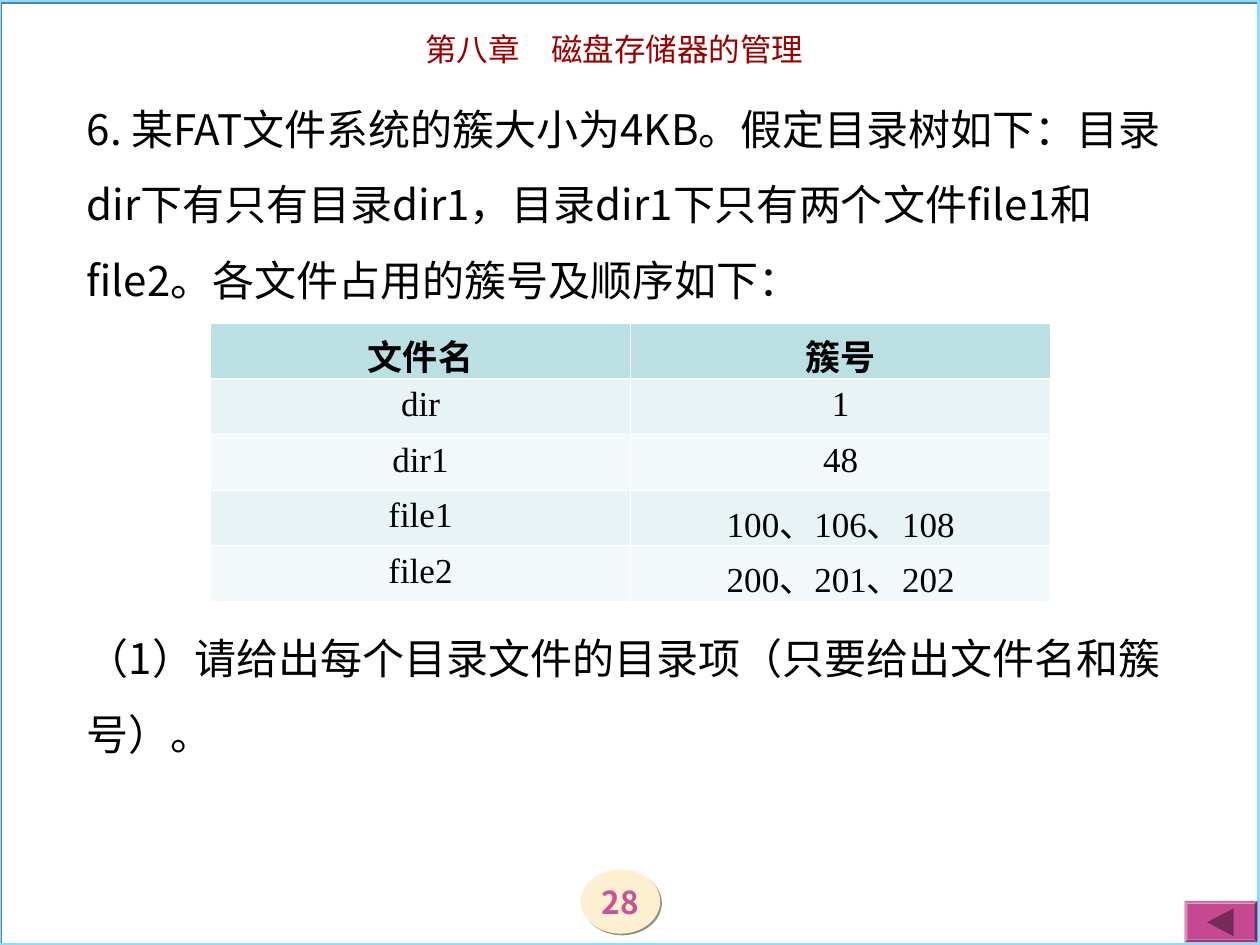
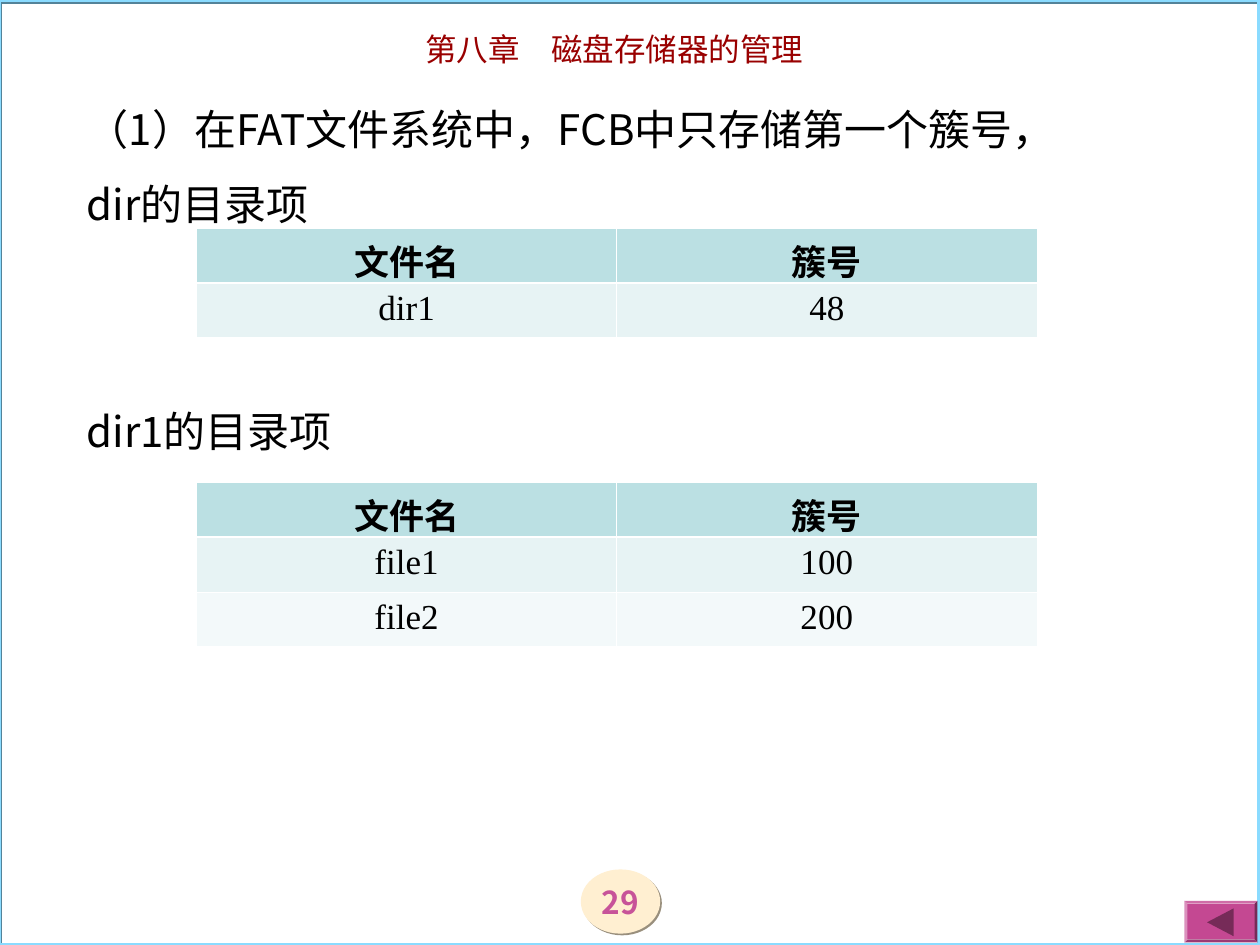
from lxml import etree
from pptx import Presentation
from pptx import util as u
from pptx.dml import color
from pptx.enum import shapes, text
from pptx.oxml import ns

Inches, Pt = u.Inches, u.Pt

# Shared style
SANS, HEADER_FONT, SERIF = "Noto Sans CJK SC", "Noto Sans CJK JP", "Times New Roman"
BLACK, WHITE, DARK_RED = "000000", "FFFFFF", "990000"
FRAME, FRAME_SHADOW = "8ADBFF", "538399"
BADGE, BADGE_SHADOW, BADGE_TEXT = "FFEFD1", "998F7D", "C75399"
BUTTON, BUTTON_ARROW = "C44892", "762B58"
HEAD_ROW, BANDS = "BBE0E3", ("E7F3F4", "F3F9FA")
LINE_PITCH = 43.2
THIN, THICK = 0.45, 1.47
CHAPTER = "第八章　磁盘存储器的管理"
COLUMNS = ("文件名", "簇号")


def rgb(value):
    return color.RGBColor.from_string(value)


def add_xml(parent, tag, **attributes):
    return etree.SubElement(parent, ns.qn(tag), attributes)


def style_paragraph(para, size, font, tint, bold=False, align=None):
    para.alignment = align
    para.font.size = Pt(size)
    para.font.bold = bold
    para.font.color.rgb = rgb(tint)
    para.font.name = font
    east_asian = SANS if font == SERIF else font
    add_xml(para.font._element, "a:ea", typeface=east_asian)


def add_hard_shadow(shape, tint):
    effects = add_xml(shape._element.spPr, "a:effectLst")
    shadow = add_xml(effects, "a:outerShdw", blurRad="0", dist=str(Pt(1.4)),
                     dir="2700000", algn="ctr", rotWithShape="0")
    add_xml(shadow, "a:srgbClr", val=tint)


def add_plain_shape(page, kind, left, top, width, height, fill):
    shape = page.shapes.add_shape(kind, Inches(left), Inches(top),
                                  Inches(width), Inches(height))
    shape.fill.solid()
    shape.fill.fore_color.rgb = rgb(fill)
    shape.line.fill.background()
    return shape


def add_text_box(page, left, top, width, height):
    box = page.shapes.add_textbox(Inches(left), Inches(top),
                                  Inches(width), Inches(height))
    box.text_frame.word_wrap = True
    return box.text_frame


def add_page_number(page, number):
    badge = add_plain_shape(page, shapes.MSO_SHAPE.OVAL, 4.61, 6.9, 0.63, 0.51, BADGE)
    add_hard_shadow(badge, BADGE_SHADOW)
    frame = badge.text_frame
    frame.margin_left = frame.margin_right = frame.margin_top = frame.margin_bottom = 0
    frame.vertical_anchor = text.MSO_ANCHOR.MIDDLE
    frame.text = str(number)
    style_paragraph(frame.paragraphs[0], 18, SANS, BADGE_TEXT, True, text.PP_ALIGN.CENTER)


def add_frame(page):
    border = add_plain_shape(page, shapes.MSO_SHAPE.RECTANGLE, -0.01, 0, 10, 7.5, WHITE)
    border.fill.background()
    border.line.color.rgb = rgb(FRAME)
    border.line.width = Pt(2.25)
    add_hard_shadow(border, FRAME_SHADOW)


def add_chapter_header(page):
    frame = add_text_box(page, 2.08, 0.19, 5.59, 0.46)
    frame.text = CHAPTER
    style_paragraph(frame.paragraphs[0], 18, HEADER_FONT, DARK_RED,
                    align=text.PP_ALIGN.CENTER)


def add_back_button(page):
    button = add_plain_shape(page, shapes.MSO_SHAPE.BEVEL, 9.4, 7.15, 0.58, 0.33, BUTTON)
    button.adjustments[0] = 0.07
    button.shadow.inherit = False
    builder = page.shapes.build_freeform(Inches(9.58), Inches(7.32))
    builder.add_line_segments([(Inches(9.79), Inches(7.21)),
                               (Inches(9.79), Inches(7.43))])
    arrow = builder.convert_to_shape()
    arrow.fill.solid()
    arrow.fill.fore_color.rgb = rgb(BUTTON_ARROW)
    arrow.line.fill.background()
    arrow.shadow.inherit = False


def add_body(page, paragraphs):
    """Each paragraph is (text, number of free lines above it)."""
    frame = add_text_box(page, 0.59, 0.57, 8.98, 6.58)
    for index, (words, free_lines) in enumerate(paragraphs):
        para = frame.add_paragraph() if index else frame.paragraphs[0]
        para.text = words
        para.line_spacing = Pt(LINE_PITCH)
        if free_lines:
            para.space_before = Pt(free_lines * LINE_PITCH)
        style_paragraph(para, 24, SANS, BLACK)


def set_borders(cell, top, bottom):
    properties = cell._tc.get_or_add_tcPr()
    widths = {"a:lnL": THIN, "a:lnR": THIN, "a:lnT": top, "a:lnB": bottom}
    for position, (tag, width) in enumerate(widths.items()):
        line = etree.Element(ns.qn(tag), w=str(Pt(width)))
        add_xml(add_xml(line, "a:solidFill"), "a:srgbClr", val=WHITE)
        properties.insert(position, line)


def add_cluster_table(page, left, top, row_height, files):
    rows = [COLUMNS, *files]
    table = page.shapes.add_table(len(rows), 2, Inches(left), Inches(top), Inches(6.67),
                                  Inches(row_height * len(rows))).table
    for row, values in enumerate(rows):
        table.rows[row].height = Inches(row_height)
        for column, value in enumerate(values):
            cell = table.cell(row, column)
            cell.text = value
            style_paragraph(cell.text_frame.paragraphs[0], 20, SERIF, BLACK,
                            row == 0, text.PP_ALIGN.CENTER)
            cell.fill.solid()
            cell.fill.fore_color.rgb = rgb(BANDS[(row - 1) % 2] if row else HEAD_ROW)
            set_borders(cell, THICK if row == 1 else THIN, THIN if row else THICK)


def add_page(deck, number, paragraphs):
    page = deck.slides.add_slide(deck.slide_layouts[6])
    page.background.fill.solid()
    page.background.fill.fore_color.rgb = rgb(WHITE)
    add_page_number(page, number)
    add_frame(page)
    add_chapter_header(page)
    add_body(page, paragraphs)
    add_back_button(page)
    return page


def main():
    deck = Presentation()
    deck.slide_width, deck.slide_height = Inches(10), Inches(7.5)

    # Exercise: files and their clusters
    exercise = add_page(deck, 28, [
        ("6. 某FAT文件系统的簇大小为4KB。假定目录树如下：目录dir下有只有目录dir1，"
         "目录dir1下只有两个文件file1和file2。各文件占用的簇号及顺序如下：", 0),
        ("（1）请给出每个目录文件的目录项（只要给出文件名和簇号）。", 4),
    ])
    add_cluster_table(exercise, 1.67, 2.57, 0.44, [
        ("dir", "1"), ("dir1", "48"),
        ("file1", "100、106、108"), ("file2", "200、201、202"),
    ])

    # Answer: entries of both directories
    answer = add_page(deck, 29, [
        ("（1）在FAT文件系统中，FCB中只存储第一个簇号，", 0),
        ("dir的目录项", 0),
        ("dir1的目录项", 2),
    ])
    add_cluster_table(answer, 1.56, 1.81, 0.43, [("dir1", "48")])
    add_cluster_table(answer, 1.56, 3.83, 0.43, [("file1", "100"), ("file2", "200")])

    deck.save("out.pptx")


if __name__ == "__main__":
    main()
